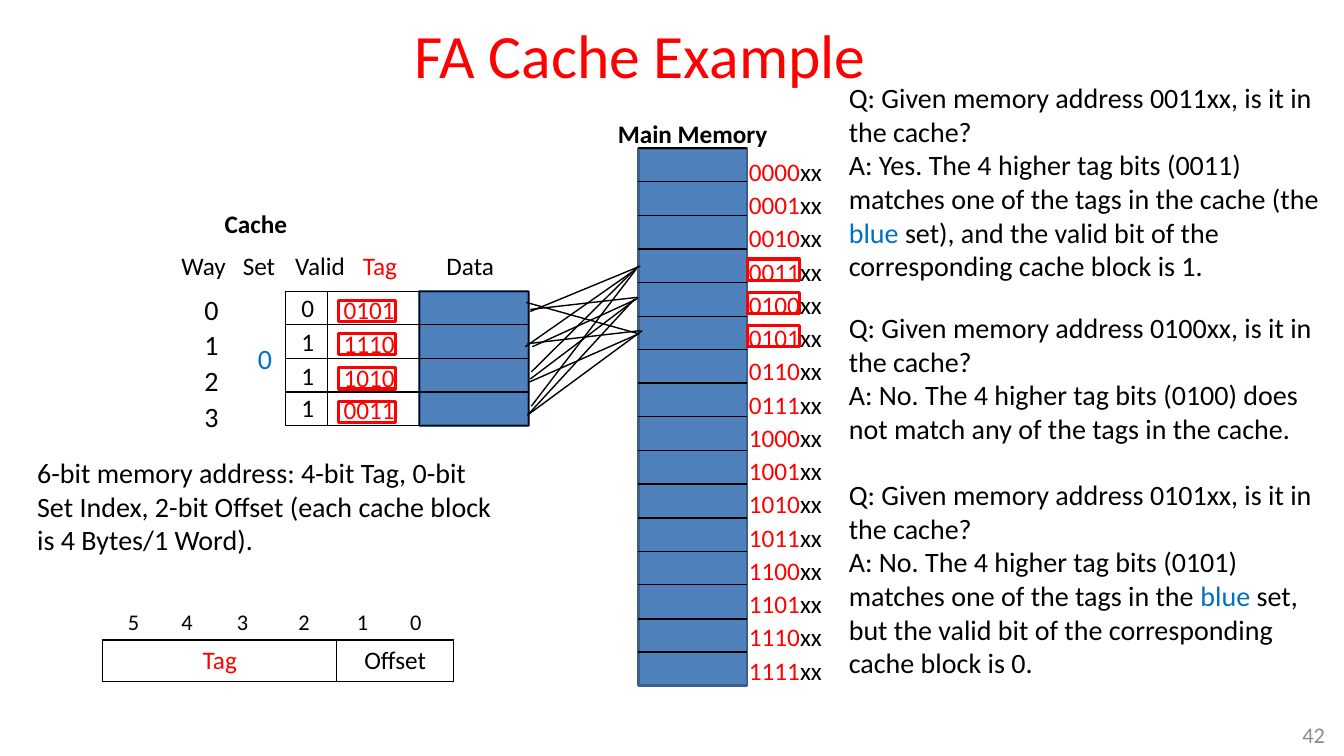
"""Builds the fully associative cache example slide."""
from lxml.etree import SubElement
from pptx import Presentation
from pptx.dml.color import RGBColor
from pptx.enum.shapes import MSO_CONNECTOR as CONN, MSO_SHAPE as SHAPE
from pptx.enum.text import MSO_ANCHOR as ANCHOR, MSO_AUTO_SIZE as AUTO, PP_ALIGN as ALIGN
from pptx.oxml import parse_xml
from pptx.oxml.ns import nsdecls, qn
from pptx.util import Pt

PX = 9144
BLACK, RED, BLUE, STEEL, EDGE = "000000", "FF0000", "0070C0", "4F81BD", "3A5F8C"
rgb = RGBColor.from_string

prs = Presentation()
prs.slide_width, prs.slide_height = 1333 * PX, 750 * PX
s = prs.slides.add_slide(prs.slide_layouts[5])


def text(x, y, w, h, paras, size=18, wrap=False, bold=False, spacing=None):
    """Adds a text box whose paragraphs are lists of (text, colour) runs."""
    sp = s.shapes.add_textbox(x * PX, y * PX, w * PX, h * PX)
    tf = sp.text_frame
    tf.word_wrap = wrap
    tf.auto_size = AUTO.SHAPE_TO_FIT_TEXT
    for i, runs in enumerate(paras):
        p = tf.add_paragraph() if i else tf.paragraphs[0]
        p.line_spacing = spacing
        for words, color in runs:
            r = p.add_run()
            r.text = words
            r.font.name, r.font.size, r.font.bold = "Calibri", Pt(size), bold
            r.font.color.rgb = rgb(color)
    return tf


def line(x1, y1, x2, y2):
    """Adds a thin black straight line."""
    cx = s.shapes.add_connector(CONN.STRAIGHT, x1 * PX, y1 * PX, x2 * PX, y2 * PX)
    cx.line.color.rgb = rgb(BLACK)
    cx.line.width = Pt(1)
    SubElement(cx._element.spPr, qn("a:effectLst"))
    return cx


title = s.shapes.title
title.left, title.top, title.width, title.height = 156 * PX, 12 * PX, 958 * PX, 95 * PX
tf = title.text_frame
tf.text = "FA Cache Example"
tf.vertical_anchor = ANCHOR.MIDDLE
p = tf.paragraphs[0]
p.alignment, p.line_spacing = ALIGN.CENTER, 0.85
font = p.runs[0].font
font.name, font.size, font.color.rgb = "Calibri", Pt(44), rgb(RED)

rects = [
    (633, 147, 108, 533, STEEL, EDGE, 2),
    (416, 289, 108, 133, STEEL, EDGE, 2),
    (416, 289, 108, 133, None, BLACK, 1),
    (325, 289, 91, 133, None, BLACK, 1),
    (283, 289, 42, 133, None, BLACK, 1),
]
rects += [(336, 298 + round(k * 100 / 3), 56, 21, None, RED, 2.25) for k in range(4)]
rects += [(741, 257 + k * 33, 52, 21, None, RED, 2.25) for k in range(3)]
shapes = []
for x, y, w, h, fill, edge, weight in rects:
    sp = s.shapes.add_shape(SHAPE.RECTANGLE, x * PX, y * PX, w * PX, h * PX)
    sp.shadow.inherit = False
    if fill:
        sp.fill.solid()
        sp.fill.fore_color.rgb = rgb(fill)
    else:
        sp.fill.background()
    sp.line.color.rgb = rgb(edge)
    sp.line.width = Pt(weight)
    shapes.append(sp)

for i, first, rows in [(0, 0, 16), (2, 1, 4), (3, 1, 4), (4, 1, 4)]:
    x, y, w = rects[i][:3]
    for k in range(first, rows):
        row_y = y + round(k * 100 / 3)
        divider = line(x, row_y, x + w, row_y)
        if 2 * k == rows:
            divider.begin_connect(shapes[i], 1)
            divider.end_connect(shapes[i], 3)

for ends in [
    (631, 267, 527, 403), (628, 269, 521, 344), (633, 264, 527, 369), (635, 264, 526, 309),
    (632, 295, 526, 307), (633, 295, 526, 376), (629, 297, 524, 411), (631, 297, 528, 344),
    (635, 328, 523, 341), (637, 328, 523, 412), (633, 331, 522, 300), (634, 331, 525, 379),
]:
    line(*ends)

text(603, 112, 170, 40, [[("Main Memory", BLACK)]], bold=True)
text(213, 202, 83, 40, [[("Cache", BLACK)]], bold=True)
text(733, 147, 108, 543, [[(f"{i:04b}", RED), ("xx", BLACK)] for i in range(16)],
     wrap=True, spacing=1.1)

for heading, x, w, color in [("Way", 170, 65, BLACK), ("Set", 231, 53, BLACK),
                             ("Valid", 283, 70, BLACK), ("Tag", 350, 54, RED),
                             ("Data", 433, 68, BLACK)]:
    text(x, 243, w, 40, [[(heading, color)]])

for way, (valid, tag, y) in enumerate([("0", "0101", 287), ("1", "1110", 321),
                                       ("1", "1010", 355), ("1", "0011", 386)]):
    text(193, 285 + round(way * 35.4), 34, 44, [[(str(way), BLACK)]], size=20)
    text(289, y - 2, 33, 40, [[(valid, BLACK)]])
    text(331, y, 71, 40, [[(tag, RED)]])
text(246, 334, 34, 44, [[("0", BLUE)]], size=20)

text(27, 447, 476, 111, [[("6-bit memory address: 4-bit Tag, 0-bit Set Index, 2-bit Offset "
                           "(each cache block is 4 Bytes/1 Word).", BLACK)]], size=20, wrap=True)

for y, h, address, answer in [
    (75, 212, "0011", [
        ("A: Yes. The 4 higher tag bits (0011) matches one of the tags in the cache (the ", BLACK),
        ("blue", BLUE),
        (" set), and the valid bit of the corresponding cache block is 1.", BLACK)]),
    (303, 145, "0100", [
        ("A: No. The 4 higher tag bits (0100) does not match any of the tags in the cache.", BLACK)]),
    (469, 212, "0101", [
        ("A: No. The 4 higher tag bits (0101) matches one of the tags in the ", BLACK),
        ("blue", BLUE),
        (" set, but the valid bit of the corresponding cache block is 0.", BLACK)]),
]:
    question = [(f"Q: Given memory address {address}xx, is it in the cache?", BLACK)]
    text(832, y, 492, h, [question, answer], size=20, wrap=True)

for bit, x in zip("543210", [117, 170, 225, 286, 344, 397]):
    text(x, 598, 31, 37, [[(bit, BLACK)]], size=16)

table = s.shapes.add_table(1, 2, 102 * PX, 635 * PX, 348 * PX, 41 * PX).table
table.first_row = table.horz_banding = False
for i, (field, w, color) in enumerate([("Tag", 232, RED), ("Offset", 116, BLACK)]):
    table.columns[i].width = w * PX
    cell = table.cell(0, i)
    cell.fill.background()
    cell.text_frame.text = field
    p = cell.text_frame.paragraphs[0]
    p.alignment = ALIGN.CENTER
    font = p.runs[0].font
    font.name, font.size, font.color.rgb = "Calibri", Pt(18), rgb(color)
    for k, side in enumerate("LRTB"):
        cell._tc.get_or_add_tcPr().insert(k, parse_xml(
            f'<a:ln{side} {nsdecls("a")} w="12700"><a:solidFill><a:srgbClr val="{BLACK}"/>'
            f'</a:solidFill></a:ln{side}>'))

tf = text(1257, 708, 67, 42, [[("42", "8C8C8C")]], size=16, wrap=True)
tf.auto_size = AUTO.NONE
tf.vertical_anchor = ANCHOR.MIDDLE
tf.paragraphs[0].alignment = ALIGN.RIGHT

prs.save("out.pptx")
